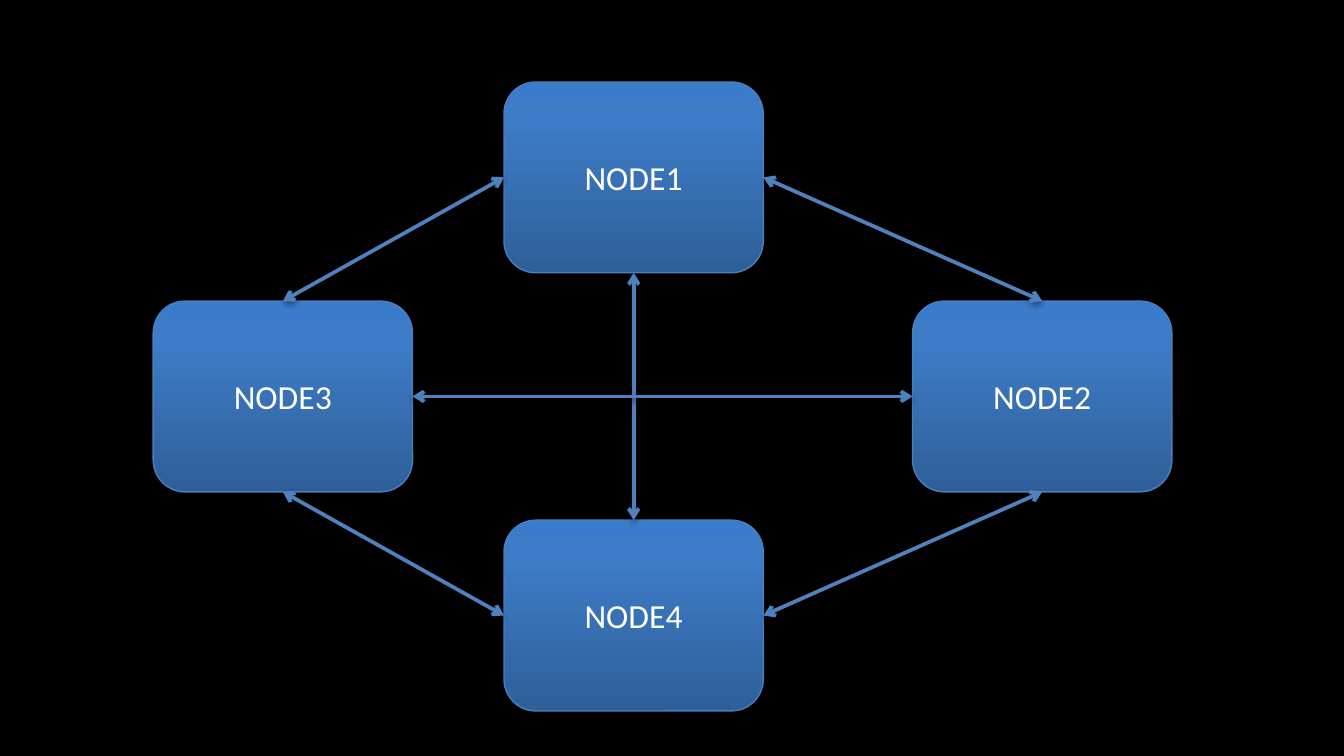
import copy

import lxml.etree
import pptx
import pptx.dml.color
import pptx.enum.shapes
import pptx.enum.text
import pptx.oxml.ns
import pptx.util

Inches = pptx.util.Inches
Pt = pptx.util.Pt
qn = pptx.oxml.ns.qn

COLORS = {
    "background": "000000",
    "node_bottom": "2F5F99",
    "node_middle": "3D7CC7",
    "node_top": "3A7CCB",
    "node_edge": "4B7EBC",
    "link": "4F81BD",
    "label": "FFFFFF",
    "shadow": "000000",
}
TOP, LEFT, BOTTOM, RIGHT = range(4)


def rgb(name):
    return pptx.dml.color.RGBColor.from_string(COLORS[name])


def write_text(frame, text, *, size, font, color, align):
    paragraph = frame.paragraphs[0]
    paragraph.alignment = align
    run = paragraph.add_run()
    run.text = text
    run.font.size = Pt(size)
    run.font.name = font
    run.font.color.rgb = rgb(color)


class Diagram:
    font = "Calibri"
    label_size = 18
    node_width, node_height = 1.93, 1.42
    gradient = [(0, "node_bottom"), (0.8, "node_middle"), (1, "node_top")]

    def __init__(self, slide):
        self.slide = slide
        background = slide.background.fill
        background.solid()
        background.fore_color.rgb = rgb("background")

    def add_shadow(self, properties, distance, opacity):
        effects = lxml.etree.SubElement(properties, qn("a:effectLst"))
        shadow = lxml.etree.SubElement(
            effects, qn("a:outerShdw"), blurRad=str(Pt(3.1)),
            dist=str(Pt(distance)), dir="5400000", rotWithShape="0")
        color = lxml.etree.SubElement(shadow, qn("a:srgbClr"), val=COLORS["shadow"])
        lxml.etree.SubElement(color, qn("a:alpha"), val=str(opacity * 1000))

    def add_node(self, label, left, top):
        node = self.slide.shapes.add_shape(
            pptx.enum.shapes.MSO_SHAPE.ROUNDED_RECTANGLE,
            Inches(left), Inches(top),
            Inches(self.node_width), Inches(self.node_height))
        node.fill.gradient()
        node.fill.gradient_angle = 90
        stops = node._element.spPr.find(".//" + qn("a:gsLst"))
        stops.append(copy.deepcopy(stops[-1]))
        for stop, (position, color) in zip(node.fill.gradient_stops, self.gradient):
            stop.position = position
            stop.color.rgb = rgb(color)
        node.line.color.rgb = rgb("node_edge")
        node.line.width = Pt(0.75)
        self.add_shadow(node._element.spPr, 1.8, 35)
        node.text_frame.vertical_anchor = pptx.enum.text.MSO_ANCHOR.MIDDLE
        write_text(node.text_frame, label, size=self.label_size, font=self.font,
                   color="label", align=pptx.enum.text.PP_ALIGN.CENTER)
        return node

    def add_link(self, start, start_side, end, end_side):
        link = self.slide.shapes.add_connector(
            pptx.enum.shapes.MSO_CONNECTOR.STRAIGHT, 0, 0, 0, 0)
        link.begin_connect(start, start_side)
        link.end_connect(end, end_side)
        link.line.color.rgb = rgb("link")
        link.line.width = Pt(2)
        outline = link._element.spPr.find(qn("a:ln"))
        for tag in ("a:headEnd", "a:tailEnd"):
            lxml.etree.SubElement(outline, qn(tag), type="arrow")
        self.add_shadow(link._element.spPr, 1.6, 38)


def main():
    deck = pptx.Presentation()
    deck.slide_width, deck.slide_height = Inches(10), Inches(10 * 9 / 16)
    diagram = Diagram(deck.slides.add_slide(deck.slide_layouts[6]))

    first_row, row_step = 0.61, 1.63
    center_column = 3.75
    node1 = diagram.add_node("NODE1", center_column, first_row)
    node3 = diagram.add_node("NODE3", 1.14, first_row + row_step)
    node2 = diagram.add_node("NODE2", 6.79, first_row + row_step)
    node4 = diagram.add_node("NODE4", center_column, first_row + 2 * row_step)

    for link in [
        (node1, LEFT, node3, TOP),
        (node1, RIGHT, node2, TOP),
        (node2, BOTTOM, node4, RIGHT),
        (node3, BOTTOM, node4, LEFT),
        (node1, BOTTOM, node4, TOP),
        (node2, LEFT, node3, RIGHT),
    ]:
        diagram.add_link(*link)

    deck.save("out.pptx")


if __name__ == "__main__":
    main()
